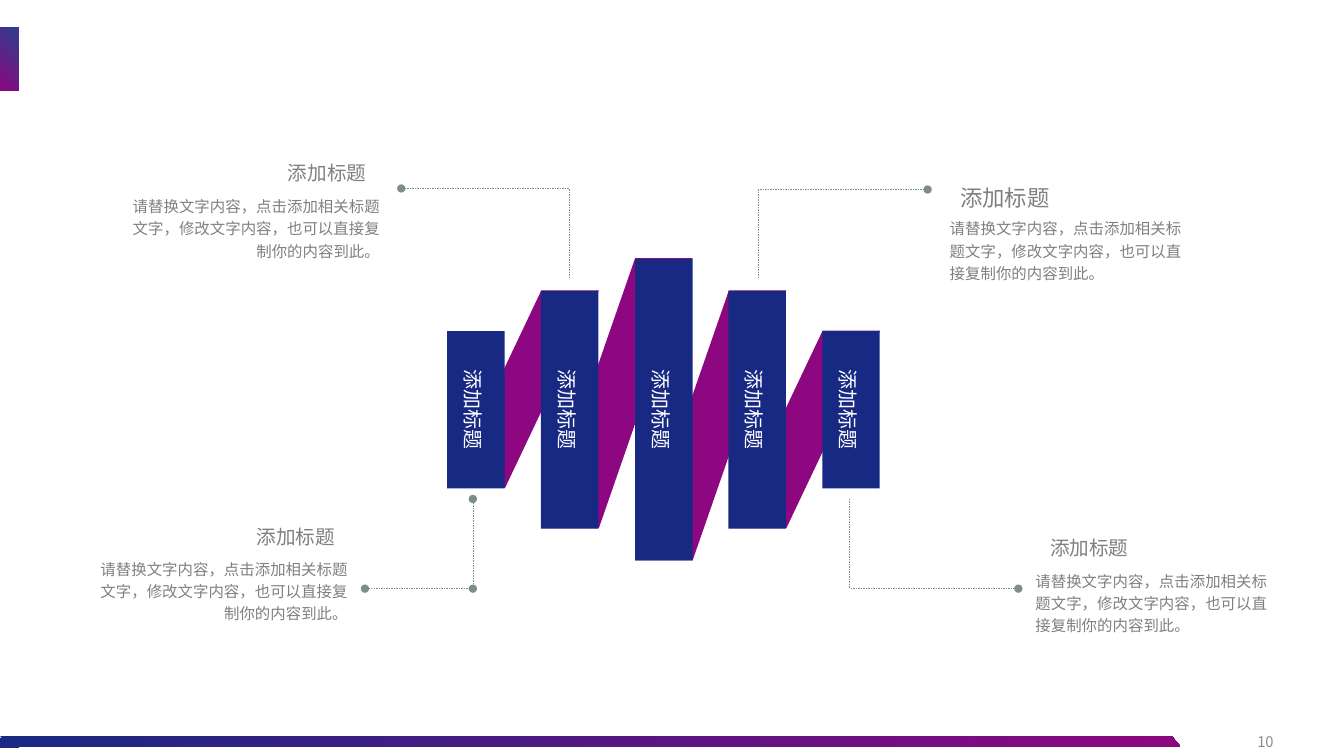
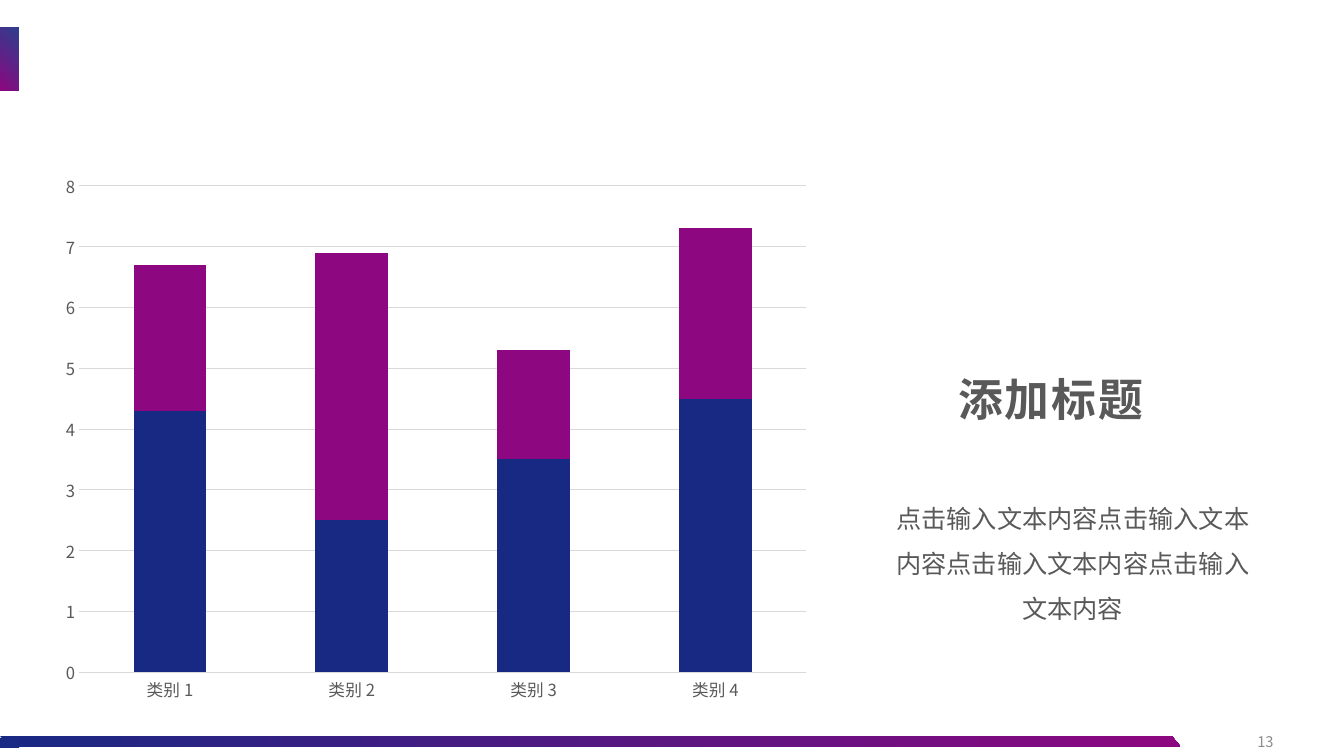
from pptx import Presentation
from pptx.chart.data import CategoryChartData
from pptx.dml.color import RGBColor
from pptx.enum.chart import XL_CHART_TYPE, XL_TICK_MARK
from pptx.enum.dml import MSO_LINE
from pptx.enum.shapes import MSO_CONNECTOR, MSO_SHAPE
from pptx.enum.text import MSO_ANCHOR, MSO_AUTO_SIZE, PP_ALIGN
from pptx.oxml.ns import qn
from pptx.oxml.xmlchemy import OxmlElement
from pptx.util import Pt

SCALE = 9144
FONT = "Noto Sans CJK SC"
NAVY = RGBColor(0x18, 0x29, 0x83)
PLUM = RGBColor(0x8D, 0x07, 0x80)
NOTCH = RGBColor(0x1A, 0x29, 0x83)
SLATE = RGBColor(0x7F, 0x8C, 0x8D)
GRAY = RGBColor(0x80, 0x80, 0x80)
PALE = RGBColor(0x8C, 0x8C, 0x8C)
DARK = RGBColor(0x59, 0x59, 0x59)
RULE = RGBColor(0xD9, 0xD9, 0xD9)
WHITE = RGBColor(0xFF, 0xFF, 0xFF)
LEFT, MID, RIGHT = PP_ALIGN.LEFT, PP_ALIGN.CENTER, PP_ALIGN.RIGHT
RECT, STRAIGHT = MSO_SHAPE.RECTANGLE, MSO_CONNECTOR.STRAIGHT
CENTER, GROW = MSO_ANCHOR.MIDDLE, MSO_AUTO_SIZE.SHAPE_TO_FIT_TEXT
STACK, NO_TICK = XL_CHART_TYPE.COLUMN_STACKED, XL_TICK_MARK.NONE
DASH = MSO_LINE.DASH

TITLE = "添加标题"
BODY = "请替换文字内容，点击添加相关标题文字，修改文字内容，也可以直接复制你的内容到此。"
STORY = "点击输入文本内容" * 4
NOTES = (
    ((108, 183, 286, 82), (271, 148, 107, 40), RIGHT, 14),
    ((76, 543, 286, 82), (240, 509, 107, 40), RIGHT, 14),
    ((925, 205, 276, 84), (937, 170, 119, 44), LEFT, 16),
    ((1010, 555, 276, 82), (1027, 520, 107, 40), LEFT, 14),
)
STRIPS = (156, 236, 299, 236, 156)
FIRST, PITCH, WIDE, AXIS = 444, 93, 57, 406
LINKS = (
    ((565, 188), (565, 277), ()),
    ((398, 187), (565, 187), ("headEnd",)),
    ((752, 188), (752, 277), ()),
    ((754, 188), (920, 188), ("tailEnd",)),
    ((469, 495), (469, 584), ("headEnd", "tailEnd")),
    ((842, 495), (842, 584), ()),
    ((844, 584), (1010, 584), ("tailEnd",)),
    ((362, 584), (469, 584), ("headEnd",)),
)


def px(*sizes):
    """Turn px lengths into EMU."""
    return [size * SCALE for size in sizes]


def put(item, values):
    """Set attributes from a dict."""
    for name, value in values.items():
        setattr(item, name, value)


def style(font, size, color, bold=False):
    """Format a font for Latin and East Asian text."""
    put(font, {"size": Pt(size), "name": FONT, "bold": bold})
    font.color.rgb = color
    asian = OxmlElement("a:ea")
    asian.set("typeface", FONT)
    font._element.find(qn("a:latin")).addnext(asian)


def write(frame, text, size, color, align, space=1.0, bold=False):
    """Fill a frame with one paragraph and return its run."""
    para = frame.paragraphs[0]
    put(para, {"alignment": align, "line_spacing": space})
    run = para.add_run()
    run.text = text
    style(run.font, size, color, bold)
    return run


def label(slide, box, text, size, color, align, space=1.0, pad=(10, 5),
          bold=False, **extra):
    """Add a text box and return its run."""
    frame = slide.shapes.add_textbox(*px(*box)).text_frame
    side, edge = px(*pad)
    put(frame, {"word_wrap": True, "margin_left": side, "margin_right": side,
                "margin_top": edge, "margin_bottom": edge, **extra})
    return write(frame, text, size, color, align, space, bold)


def paint(shape, color):
    """Give a shape a plain fill without line or shadow."""
    shape.shadow.inherit = False
    shape.line.fill.background()
    shape.fill.solid()
    shape.fill.fore_color.rgb = color
    return shape


def block(slide, box, color):
    """Add a plain rectangle."""
    return paint(slide.shapes.add_shape(RECT, *px(*box)), color)


def outline(slide, points, color):
    """Add a closed outline."""
    pen = slide.shapes.build_freeform(*points[0], scale=SCALE)
    pen.add_line_segments(points[1:], close=True)
    return paint(pen.convert_to_shape(), color)


def blend(shape, angle):
    """Fill a shape with the navy to plum gradient."""
    shape.fill.gradient()
    shape.fill.gradient_angle = angle
    for stop, color in zip(shape.fill.gradient_stops, (NAVY, PLUM)):
        stop.color.rgb = color


def fade(shape, share):
    """Make the first gradient colour partly opaque."""
    alpha = OxmlElement("a:alpha")
    alpha.set("val", str(share * 1000))
    next(shape._element.spPr.iter(qn("a:srgbClr"))).append(alpha)


def link(slide, start, end, dots):
    """Add a dashed line with round ends where named."""
    line = slide.shapes.add_connector(STRAIGHT, *px(*start, *end))
    line.line.color.rgb = SLATE
    put(line.line, {"width": Pt(0.25), "dash_style": DASH})
    for name in dots:
        tip = OxmlElement("a:" + name)
        tip.set("type", "oval")
        line.line._get_or_add_ln().append(tip)
    line._element.spPr.append(OxmlElement("a:effectLst"))


def page(deck, number):
    """Add a slide with the shared marks."""
    slide = deck.slides.add_slide(deck.slide_layouts[6])
    mark = block(slide, (0, 27, 18, 63), NAVY)
    blend(mark, 225)
    fade(mark, 90)
    label(slide, (973, 716, 300, 40), number, 10.5, PALE, RIGHT,
          vertical_anchor=CENTER)
    band = outline(slide, ((0, 730), (1162, 730), (1171, 741), (9, 741)), NAVY)
    blend(band, 0)
    block(slide, (0, 732, 19, 10), NOTCH)
    return slide


def note(slide, body, head, align, size):
    """Add a body text with its heading."""
    label(slide, body, BODY, 11, GRAY, align, 1.2, (17, 9), auto_size=GROW)
    label(slide, head, TITLE, size, GRAY, MID, 1.2, (14, 7),
          auto_size=GROW, word_wrap=False)


def fold(slide):
    """Add the folded ribbon of upright strips."""
    spots = [(FIRST + PITCH * i, tall) for i, tall in enumerate(STRIPS)]
    for (x, tall), (after, rise) in zip(spots, spots[1:]):
        low, high = AXIS + tall / 2, AXIS - rise / 2
        outline(slide, ((x, low), (after, high), (after + WIDE, high),
                        (x + WIDE, low)), PLUM)
    for x, tall in spots:
        left, top = x + (WIDE - tall) // 2, AXIS - WIDE // 2
        strip = block(slide, (left, top, tall, WIDE), NAVY)
        strip.rotation = 90
        strip.text_frame.vertical_anchor = CENTER
        write(strip.text_frame, TITLE, 14.3, WHITE, MID, 1.2)


def graph(slide, box):
    """Add the stacked column chart."""
    data = CategoryChartData()
    data.categories = [f"类别 {i}" for i in range(1, 5)]
    data.add_series("Series 1", (4.3, 2.5, 3.5, 4.5))
    data.add_series("Series 2", (2.4, 4.4, 1.8, 2.8))
    chart = slide.shapes.add_chart(STACK, *px(*box), data).chart
    put(chart, {"has_legend": False, "has_title": False})
    style(chart.font, 10, DARK)
    plot = chart.plots[0]
    put(plot, {"gap_width": 150, "overlap": 100, "vary_by_categories": False})
    for series, color in zip(plot.series, (NAVY, PLUM)):
        series.format.fill.solid()
        series.format.fill.fore_color.rgb = color
    cats, vals = chart.category_axis, chart.value_axis
    for axis in (cats, vals):
        put(axis, {"major_tick_mark": NO_TICK, "minor_tick_mark": NO_TICK})
        style(axis.tick_labels.font, 11.9, DARK)
    put(vals, {"minimum_scale": 0, "maximum_scale": 8, "major_unit": 1,
               "has_major_gridlines": True})
    vals.format.line.fill.background()
    for line in (cats.format.line, vals.major_gridlines.format.line):
        line.color.rgb = RULE
        line.width = Pt(0.75)


def main():
    """Build and save both slides."""
    deck = Presentation()
    wide, tall = px(1333, 750)
    put(deck, {"slide_width": wide, "slide_height": tall})

    slide = page(deck, "10")
    for item in NOTES:
        note(slide, *item)
    fold(slide)
    for item in LINKS:
        link(slide, *item)

    slide = page(deck, "13")
    graph(slide, (50, 161, 765, 546))
    run = label(slide, (892, 364, 300, 64), " ".join(TITLE), 32, DARK, MID,
                bold=True, auto_size=GROW)
    run.font._element.set("spc", "-300")
    label(slide, (867, 479, 394, 146), STORY, 18, DARK, MID, 1.5,
          auto_size=GROW)
    deck.save("out.pptx")


if __name__ == "__main__":
    main()
